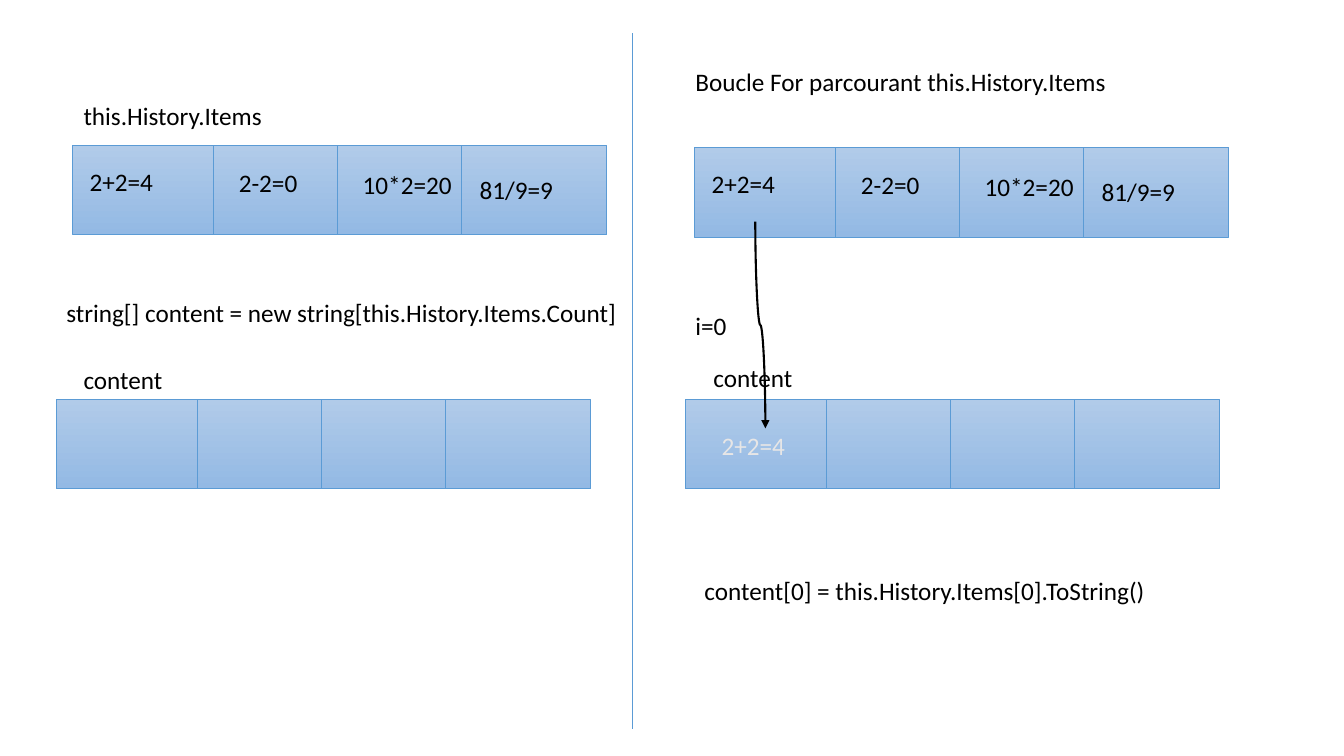
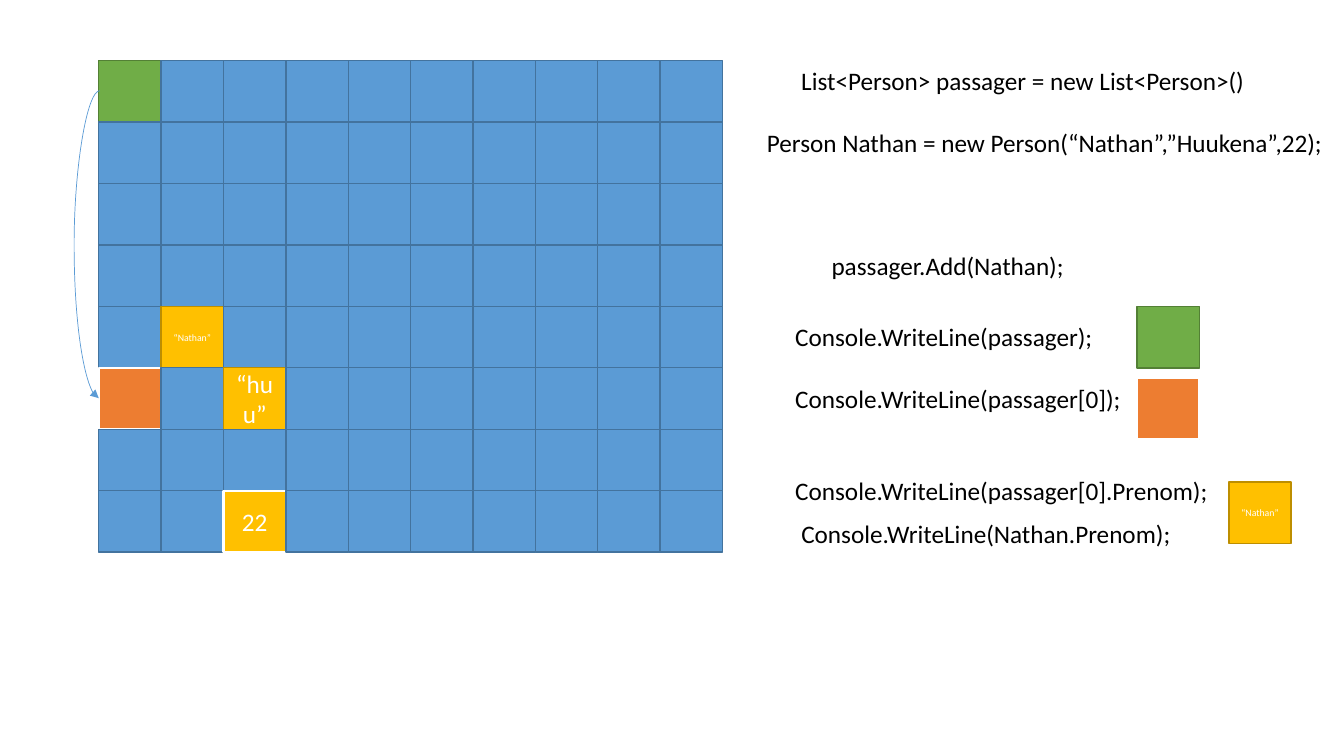
from dataclasses import dataclass

from lxml.etree import SubElement as Sub
from pptx import Presentation
from pptx.dml.color import RGBColor as Rgb
from pptx.enum.shapes import MSO_CONNECTOR as Link, MSO_SHAPE as Geo
from pptx.enum.text import MSO_ANCHOR as Anchor, MSO_AUTO_SIZE as Fit, PP_ALIGN as Align
from pptx.oxml.ns import qn
from pptx.util import Inches, Pt


@dataclass(frozen=True)
class Theme:
    font: str = "Calibri"
    size: float = 18
    small: float = 7
    ink: str = "000000"
    pale: str = "E7E6E6"
    white: str = "FFFFFF"
    blue: str = "5B9BD5"
    top: str = "B1CBE9"
    base: str = "93B9E4"
    thin: float = 0.5
    bold: float = 1.5


T = Theme()
WIDE, HIGH = Inches(13.33), Inches(7.5)

# Cell looks: fill, line colour, line width
BLUE = (T.blue, "43739E", 1)
GREEN = ("70AD47", "538035", 1)
ORANGE = ("ED7D31", T.white, T.bold)
GOLD = ("FFC000", "BD8E00", 1)
FRAMED = ("FFC000", T.white, T.bold)

# All places are percentages of the slide's width and height
BAR_W, BAR_H, TEXT_H = 39.75, 11.87, 5.39
SEAM, STEP = 10.5, 9.22
CELL_W, CELL_H = 4.64, 8.13
GRID_X, GRID_Y, COLS, ROWS = 7.35, 8, 10, 8

# Sums inside a bar: text, offset from the bar, width
SUMS = [
    ("2+2=4", 0.53, 2.13, 6.3),
    ("2-2=0", 11.63, 2.27, 5.93),
    ("10*2=20", 20.85, 2.53, 8.18),
    ("81/9=9", 29.55, 3.2, 7.05),
]

# Bars: left, top, sums
BARS = [
    (4.2, 52.8, []),
    (5.4, 19.2, SUMS),
    (51.68, 19.47, SUMS),
    (51, 52.8, []),
]

# Captions: text, left, top, width
LOOP = [
    ("string[] content = new string[this.History.Items.Count]", 4.2, 38.67, 42.83),
    ("content", 5.48, 47.47, 7.43),
    ("this.History.Items", 5.48, 12.67, 14.85),
    ("Boucle For parcourant this.History.Items", 51, 8.13, 32.33),
    ("content", 52.35, 47.33, 7.43),
    ("i=0", 51, 40.4, 3.83),
    ("content[0] = this.History.Items[0].ToString()", 51.68, 75.47, 34.58),
]
CODE = [
    ("List<Person> passager = new List<Person>()", 58.88, 8, 34.88),
    ("Person Nathan = new Person(“Nathan”,”Huukena”,22);", 56.33, 16.13, 43.28),
    ("passager.Add(Nathan);", 61.13, 32.4, 19.2),
    ("Console.WriteLine(passager);", 58.43, 41.87, 23.85),
    ("Console.WriteLine(passager[0]);", 58.43, 50, 26.03),
    ("Console.WriteLine(passager[0].Prenom);", 58.43, 62.27, 32.55),
    ("Console.WriteLine(Nathan.Prenom);", 58.88, 67.87, 29.33),
]

# Filled memory cells by (row, column): look, text, size
NAME = (GOLD, "“Nathan”", T.small)
MARKS = {
    (0, 0): (GREEN,),
    (4, 1): NAME,
    (5, 0): (ORANGE,),
    (5, 2): (GOLD, "“huu”"),
    (7, 2): (FRAMED, "22"),
}

# Result cells beside the code: left, top, content
RESULTS = [
    (84.6, 40.53, (GREEN,)),
    (84.6, 50, (ORANGE,)),
    (91.43, 63.73, NAME),
]


def px(share):
    return round(WIDE * share / 100)


def py(share):
    return round(HIGH * share / 100)


def box(x, y, w, h):
    return px(x), py(y), px(w), py(h)


def write(para, text, color, size=T.size):
    run = para.add_run()
    run.text = text
    run.font.name = T.font
    run.font.size = Pt(size)
    run.font.color.rgb = Rgb.from_string(color)


def stroke(item, color, width):
    item.line.color.rgb = Rgb.from_string(color)
    item.line.width = Pt(width)


def label(shapes, text, x, y, w, color=T.ink):
    frame = shapes.add_textbox(*box(x, y, w, TEXT_H)).text_frame
    frame.word_wrap = False
    frame.auto_size = Fit.SHAPE_TO_FIT_TEXT
    write(frame.paragraphs[0], text, color)


def rect(shapes, x, y, w, h):
    shape = shapes.add_shape(Geo.RECTANGLE, *box(x, y, w, h))
    shape.shadow.inherit = False
    return shape


def link(shapes, start, end, kind=Link.STRAIGHT, color=T.blue, width=T.thin):
    line = shapes.add_connector(kind, px(start[0]), py(start[1]), px(end[0]), py(end[1]))
    stroke(line, color, width)
    Sub(line.element.spPr, qn("a:effectLst"))
    return line


def arrow(shapes, start, end, color, width, bend=None, upright=False):
    line = link(shapes, start, end, Link.CURVE, color, width)
    props = line.element.spPr
    Sub(props.find(qn("a:ln")), qn("a:tailEnd"), type="triangle")
    if bend:
        values = props.find(qn("a:prstGeom")).find(qn("a:avLst"))
        Sub(values, qn("a:gd"), name="adj1", fmla=f"val {bend * 100000}")
    if upright:
        # Swap the sides about the centre, then turn the curve to run downwards
        w, h = line.width, line.height
        line.left, line.top = line.left + (w - h) // 2, line.top + (h - w) // 2
        line.width, line.height = h, w
        frame = props.find(qn("a:xfrm"))
        frame.set("rot", "16200000")
        frame.set("flipH", "1")


def bar(slide, x, y, sums):
    shapes = slide.shapes.add_group_shape().shapes
    body = rect(shapes, x, y, BAR_W, BAR_H)
    body.fill.gradient()
    body.fill.gradient_angle = 270
    for stop, color, place in zip(body.fill.gradient_stops, (T.top, T.base), (0, 1)):
        stop.color.rgb = Rgb.from_string(color)
        stop.position = place
    stroke(body, T.blue, T.thin)
    for i in range(3):
        seam = x + SEAM + i * STEP
        link(shapes, (seam, y + BAR_H), (seam, y))
    for text, dx, dy, w in sums:
        label(shapes, text, x + dx, y + dy, w)


def cell(shapes, x, y, look, text="", size=T.size):
    fill, edge, width = look
    shape = rect(shapes, x, y, CELL_W, CELL_H)
    shape.fill.solid()
    shape.fill.fore_color.rgb = Rgb.from_string(fill)
    stroke(shape, edge, width)
    if text:
        frame = shape.text_frame
        frame.word_wrap = True
        frame.vertical_anchor = Anchor.MIDDLE
        para = frame.paragraphs[0]
        para.alignment = Align.CENTER
        write(para, text, T.white, size)


def loop(slide):
    shapes = slide.shapes
    for x, y, sums in BARS:
        bar(slide, x, y, sums)
    link(shapes, (47.03, 4.4), (47.03, 96.4))
    for item in LOOP:
        label(shapes, *item)
    arrow(shapes, (56.2, 29.33), (56.95, 56.67), T.ink, T.bold, upright=True)
    label(shapes, "2+2=4", 52.95, 56.27, 6.3, T.pale)


def memory(slide):
    shapes = slide.shapes
    for row in range(ROWS):
        for col in range(COLS):
            mark = MARKS.get((row, col), (BLUE,))
            cell(shapes, GRID_X + col * CELL_W, GRID_Y + row * CELL_H, *mark)
    for item in CODE:
        label(shapes, *item)
    for x, y, mark in RESULTS:
        cell(shapes, x, y, *mark)
    # Reference from the list to its first person
    arrow(shapes, (7.43, 12), (7.35, 52.67), T.blue, T.thin, bend=24)


def main():
    deck = Presentation()
    deck.slide_width, deck.slide_height = WIDE, HIGH
    for draw in (loop, memory):
        draw(deck.slides.add_slide(deck.slide_layouts[6]))
    deck.save("out.pptx")


main()
